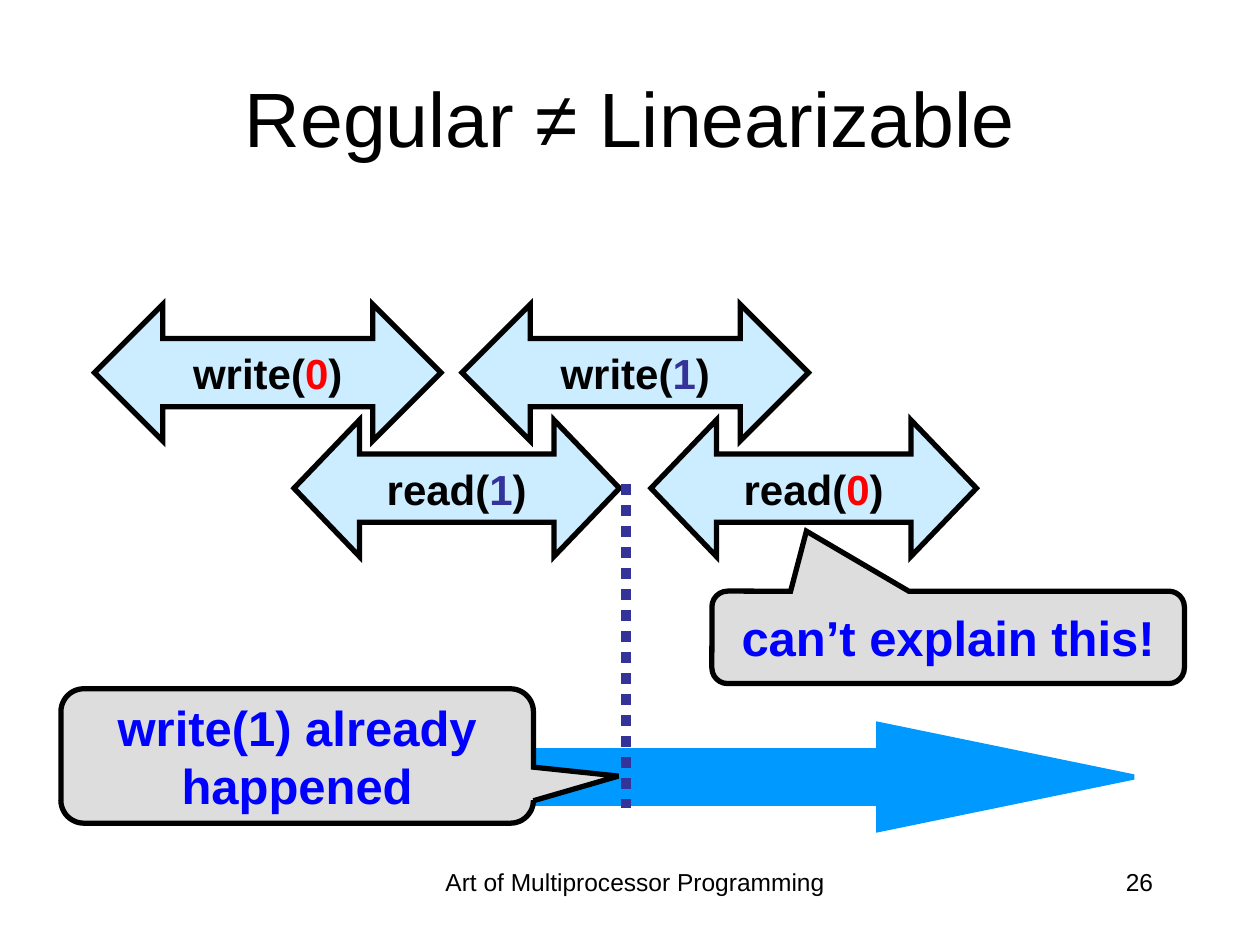
from lxml import etree
from pptx import Presentation, util as u
from pptx.dml.color import RGBColor
from pptx.enum import dml, shapes, text
from pptx.oxml import ns

CELLS_PER_INCH = 12  # the layout grid
BLACK, RED, INDIGO, BLUE = "000000", "FF0000", "333399", "0000FF"
SHAPE = shapes.MSO_SHAPE
ALIGN = text.PP_ALIGN


def cells(*counts):
    """Turn grid cells into lengths."""
    return [u.Inches(count / CELLS_PER_INCH) for count in counts]


def colour(hex_string):
    return RGBColor.from_string(hex_string)


def write(shape, spans, size, bold=False, align=ALIGN.CENTER,
          anchor=text.MSO_ANCHOR.MIDDLE, wrap=True):
    """Fill a shape with one paragraph of (words, colour) spans."""
    frame = shape.text_frame
    frame.word_wrap = wrap
    frame.vertical_anchor = anchor
    para = frame.paragraphs[0]
    para.alignment = align
    for words, hue in spans:
        span = para.add_run()
        span.text = words
        span.font.name = "Arial"
        span.font.size = u.Pt(size)
        span.font.bold = bold
        span.font.color.rgb = colour(hue)


def add_label(page, at, words, size, **layout):
    write(page.shapes.add_textbox(*cells(*at)), [(words, BLACK)], size, **layout)


def add_figure(page, kind, at, adjustments, fill, line=BLACK):
    figure = page.shapes.add_shape(kind, *cells(*at))
    for index, value in enumerate(adjustments):
        figure.adjustments[index] = value
    figure.shadow.inherit = False
    figure.fill.solid()
    figure.fill.fore_color.rgb = colour(fill)
    figure.line.color.rgb = colour(line)
    figure.line.width = u.Pt(3)
    outline = figure.line._get_or_add_ln()
    etree.SubElement(outline, ns.qn("a:miter"), lim="800000")
    return figure


def add_call(page, left, top, width, head, name, value, hue):
    """Add a method call as a double arrow spanning its duration."""
    arrow = add_figure(page, SHAPE.LEFT_RIGHT_ARROW, (left, top, width, 13),
                       (0.5, head), "CCECFF")
    spans = [(name + "(", BLACK), (value, hue), (")", BLACK)]
    write(arrow, spans, 24, bold=True, wrap=False)


def add_callout(page, at, pointer, words):
    callout = add_figure(page, SHAPE.ROUNDED_RECTANGULAR_CALLOUT, at,
                         (*pointer, 0.17), "DDDDDD")
    write(callout, [(words, BLUE)], 28, bold=True)


def add_moment(page, x, top, bottom):
    """Add a dotted vertical line marking a point in time."""
    line = page.shapes.add_connector(
        shapes.MSO_CONNECTOR.STRAIGHT, *cells(x, top, x, bottom))
    line.line.color.rgb = colour(INDIGO)
    line.line.width = u.Pt(6)
    line.line.dash_style = dml.MSO_LINE.ROUND_DOT
    etree.SubElement(line._element.spPr, ns.qn("a:effectLst"))


def main():
    deck = Presentation()
    deck.slide_width, deck.slide_height = u.Inches(10), u.Inches(7.5)
    page = deck.slides.add_slide(deck.slide_layouts[6])

    add_label(page, (6, 3.6, 108, 15), "Regular ≠ Linearizable", 44)

    write_row, read_row = 29, 40
    add_call(page, 9, write_row, 33, 0.5, "write", "0", RED)
    add_call(page, 28, read_row, 31, 0.48, "read", "1", INDIGO)
    add_call(page, 44, write_row, 33, 0.5, "write", "1", INDIGO)
    add_call(page, 62, read_row, 31, 0.48, "read", "0", RED)

    time_blue = "0099FF"
    add_figure(page, SHAPE.RIGHT_ARROW, (11, 69, 97, 10), (0.5, 2.43),
               time_blue, time_blue)
    add_moment(page, 59.6, 46.1, 77)
    add_callout(page, (5.8, 65.6, 45, 12.8), (0.68, 0.15),
                "write(1) already happened")
    add_callout(page, (67.8, 56.3, 45, 8.8), (-0.3, -1.15),
                "can’t explain this!")

    top = text.MSO_ANCHOR.TOP
    add_label(page, (40, 82, 41, 6), "Art of Multiprocessor Programming", 14,
              anchor=top)
    add_label(page, (86, 82, 25, 6), "26", 14, align=ALIGN.RIGHT, anchor=top)

    deck.save("out.pptx")


if __name__ == "__main__":
    main()
